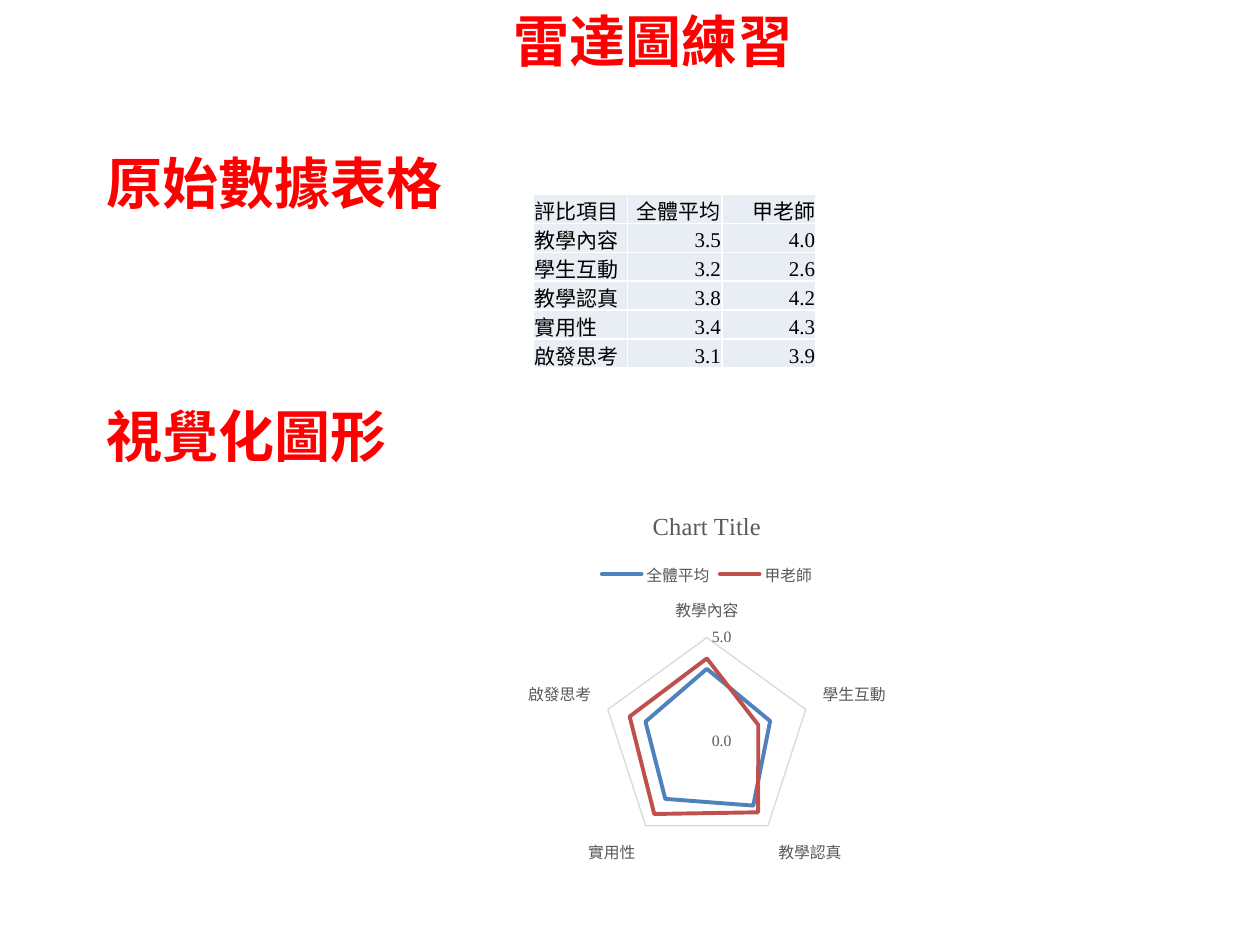
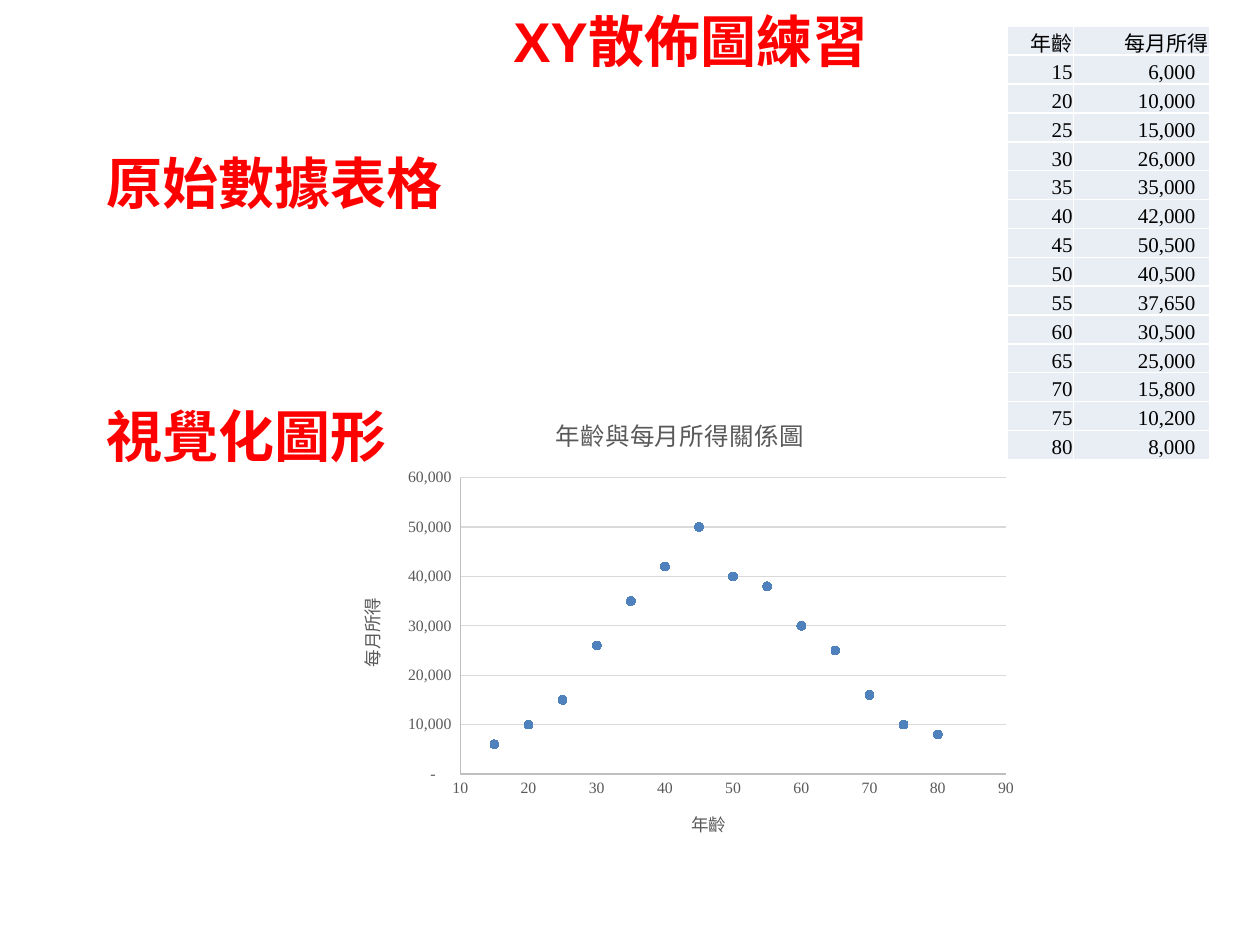
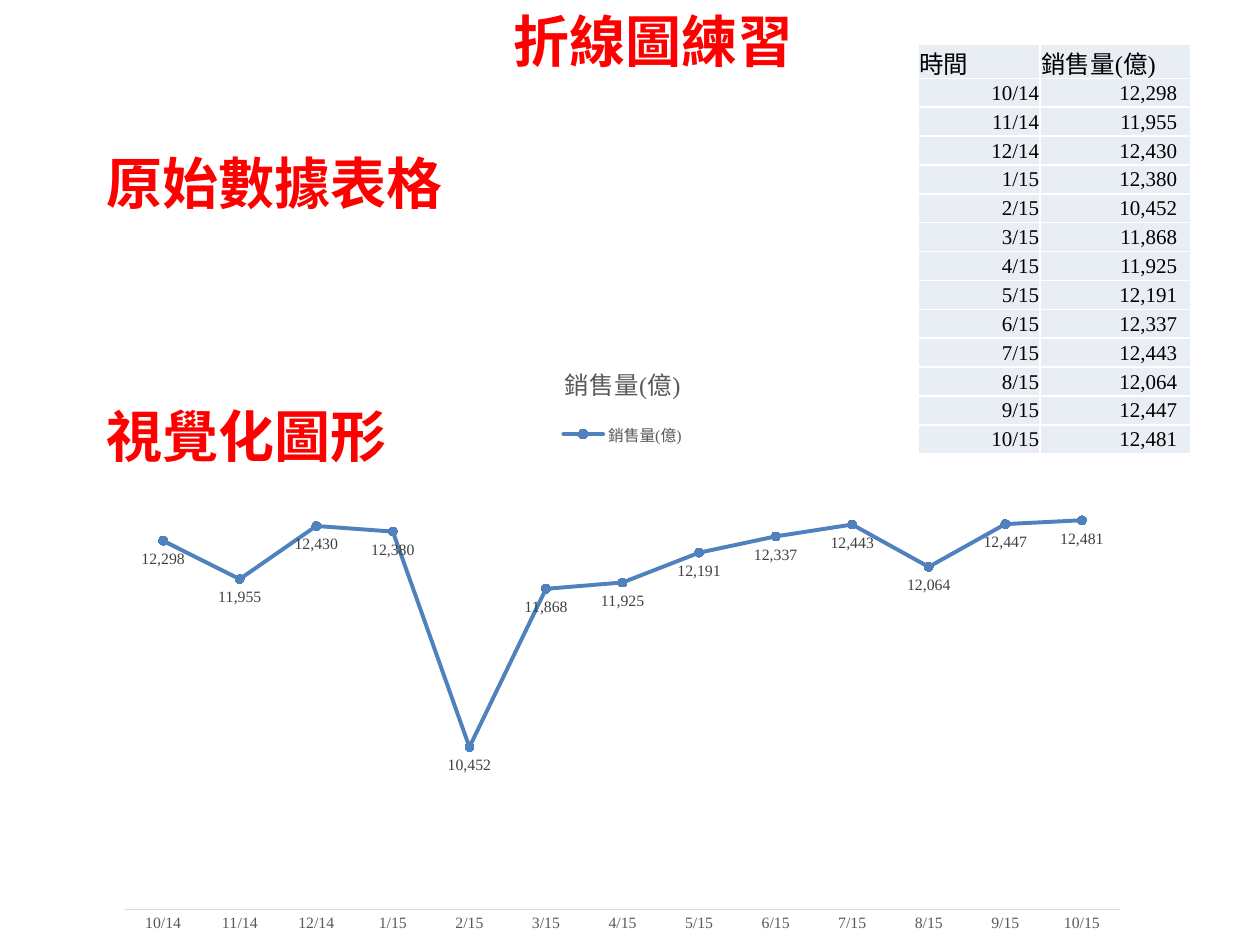
from dataclasses import dataclass

from lxml import etree
from pptx import Presentation
from pptx.chart.data import CategoryChartData, XyChartData
from pptx.dml.color import RGBColor
from pptx.enum.chart import (XL_CHART_TYPE, XL_LABEL_POSITION, XL_LEGEND_POSITION,
                             XL_MARKER_STYLE, XL_TICK_MARK)
from pptx.enum.text import MSO_ANCHOR, MSO_AUTO_SIZE, PP_ALIGN
from pptx.oxml.ns import qn
from pptx.util import Cm, Pt

LEFT, RIGHT = PP_ALIGN.LEFT, PP_ALIGN.RIGHT
BOTTOM, MIDDLE = MSO_ANCHOR.BOTTOM, MSO_ANCHOR.MIDDLE
GROW = MSO_AUTO_SIZE.SHAPE_TO_FIT_TEXT
RADAR, SCATTER, LINE = XL_CHART_TYPE.RADAR, XL_CHART_TYPE.XY_SCATTER, XL_CHART_TYPE.LINE_MARKERS
LEGEND_TOP = XL_LEGEND_POSITION.TOP
LABEL_BELOW = XL_LABEL_POSITION.BELOW
CIRCLE = XL_MARKER_STYLE.CIRCLE
NO_TICK = XL_TICK_MARK.NONE
THOUSANDS = '_-* #,##0_-;\\-* #,##0_-;_-* "-"??_-;_-@_'


@dataclass(frozen=True)
class Theme:
    heading_font: str = "Arial"
    body_font: str = "Times New Roman"
    heading: str = "FF0000"
    text: str = "000000"
    cell: str = "E9EDF4"
    border: str = "FFFFFF"
    muted: str = "595959"
    label: str = "404040"
    grid: str = "D9D9D9"
    axis: str = "BFBFBF"
    series: tuple = ("4F81BD", "C0504D")
    heading_size: int = 32
    title_size: int = 14
    cell_size: int = 12
    axis_title_size: int = 10
    chart_size: int = 9


class Deck:
    def __init__(self, theme):
        self.theme = theme
        self.presentation = Presentation()
        self.presentation.slide_width = Cm(25.4)
        self.presentation.slide_height = Cm(19.05)
        self.slide = None

    def style(self, font, size, color, name=None, bold=False):
        font.name = name or self.theme.body_font
        font.size = Pt(size)
        font.bold = bold
        font.color.rgb = RGBColor.from_string(color)

    def stroke(self, line, color, width=0.75):
        line.color.rgb = RGBColor.from_string(color)
        line.width = Pt(width)

    def add_slide(self, title):
        self.slide = self.presentation.slides.add_slide(self.presentation.slide_layouts[6])
        self.add_heading(title, 10.1, 0, 12.6)
        self.add_heading("原始數據表格", 1.9, 2.87, 7.6)
        self.add_heading("視覺化圖形", 1.9, 7.96, 7.6)

    def add_heading(self, text, left, top, width):
        shape = self.slide.shapes.add_textbox(Cm(left), Cm(top), Cm(width), Cm(1.62))
        frame = shape.text_frame
        frame.word_wrap = True
        frame.auto_size = GROW
        frame.text = text
        theme = self.theme
        self.style(frame.paragraphs[0].runs[0].font, theme.heading_size, theme.heading,
                   theme.heading_font, True)

    def add_table(self, rows, left, top, widths, height, aligns, header_aligns, anchor=BOTTOM,
                  header_size=None, header_height=None, number_inset=0.02):
        header_height = header_height or height / len(rows)
        row_height = (height - header_height) / (len(rows) - 1)
        table = self.slide.shapes.add_table(
            len(rows), len(widths), Cm(left), Cm(top), Cm(sum(widths)), Cm(height)).table
        table.first_row = table.horz_banding = False
        for column, width in zip(table.columns, widths):
            column.width = Cm(width)
        for index, values in enumerate(rows):
            header = index == 0
            table.rows[index].height = Cm(header_height if header else row_height)
            size = header_size if header and header_size else self.theme.cell_size
            for position, value in enumerate(values):
                last = position == len(values) - 1
                inset = number_inset if last and not header else 0.02
                align = (header_aligns if header else aligns)[position]
                self.fill_cell(table.cell(index, position), value, align, anchor, size, inset)

    def fill_cell(self, cell, text, align, anchor, size, right_inset):
        cell.margin_left = cell.margin_top = Cm(0.02)
        cell.margin_right, cell.margin_bottom = Cm(right_inset), 0
        cell.vertical_anchor = anchor
        cell.text_frame.text = text
        paragraph = cell.text_frame.paragraphs[0]
        paragraph.alignment = align
        self.style(paragraph.runs[0].font, size, self.theme.text)
        properties = cell._tc.get_or_add_tcPr()
        for side in ("a:lnL", "a:lnR", "a:lnT", "a:lnB"):
            line = etree.SubElement(properties, qn(side), w=str(Pt(1)))
            fill = etree.SubElement(line, qn("a:solidFill"))
            etree.SubElement(fill, qn("a:srgbClr"), val=self.theme.border)
        cell.fill.solid()
        cell.fill.fore_color.rgb = RGBColor.from_string(self.theme.cell)

    def add_chart(self, kind, data, left, top, width, height, title, legend=True):
        theme = self.theme
        chart = self.slide.shapes.add_chart(
            kind, Cm(left), Cm(top), Cm(width), Cm(height), data).chart
        self.style(chart.font, theme.axis_title_size, theme.text)
        self.set_title(chart, title, theme.title_size)
        chart.has_legend = legend
        if legend:
            chart.legend.position = LEGEND_TOP
            chart.legend.include_in_layout = False
            self.style(chart.legend.font, theme.chart_size, theme.muted)
        plot = chart.plots[0]
        plot.vary_by_categories = False
        for series, color in zip(plot.series, theme.series):
            if kind == SCATTER:
                series.format.line.fill.background()
            else:
                self.stroke(series.format.line, color, 2.25)
                series.format.line._get_or_add_ln().set("cap", "rnd")
            if kind != RADAR:
                self.add_marker(series, color)
            if kind == LINE:
                series.smooth = False
        return chart

    def set_title(self, owner, text, size):
        owner.has_title = True
        title = owner.chart_title if hasattr(owner, "chart_title") else owner.axis_title
        title.text_frame.text = text
        self.style(title.text_frame.paragraphs[0].runs[0].font, size, self.theme.muted)

    def add_marker(self, series, color):
        marker = series.marker
        marker.style, marker.size = CIRCLE, 5
        marker.format.fill.solid()
        marker.format.fill.fore_color.rgb = RGBColor.from_string(color)
        self.stroke(marker.format.line, color)

    def format_axis(self, axis, line=None, grid=False, scale=None, number_format=None,
                    title=None):
        axis.major_tick_mark = axis.minor_tick_mark = NO_TICK
        self.style(axis.tick_labels.font, self.theme.chart_size, self.theme.muted)
        if line:
            self.stroke(axis.format.line, line)
        else:
            axis.format.line.fill.background()
        axis.has_major_gridlines = grid
        if grid:
            self.stroke(axis.major_gridlines.format.line, self.theme.grid)
        if scale:
            axis.minimum_scale, axis.maximum_scale, axis.major_unit = scale
        if number_format:
            axis.tick_labels.number_format = number_format
            axis.tick_labels.number_format_is_linked = False
        if title:
            self.set_title(axis, title, self.theme.axis_title_size)

    def add_labels(self, series):
        labels = series.data_labels
        labels.show_value = True
        labels.position = LABEL_BELOW
        labels.number_format = "#,##0"
        labels.number_format_is_linked = False
        self.style(labels.font, self.theme.chart_size, self.theme.label)


def category_data(categories, columns, number_format):
    data = CategoryChartData(number_format=number_format)
    data.categories = categories
    for name, values in columns:
        data.add_series(name, values)
    return data


def build_radar_slide(deck):
    names = ("全體平均", "甲老師")
    ratings = [("教學內容", 3.5, 4.0), ("學生互動", 3.2, 2.6), ("教學認真", 3.8, 4.2),
               ("實用性", 3.4, 4.3), ("啟發思考", 3.1, 3.9)]
    items, average, teacher = zip(*ratings)
    rows = [("評比項目", *names)]
    rows += [(item, f"{mean:.1f}", f"{score:.1f}") for item, mean, score in ratings]
    aligns = (LEFT, RIGHT, RIGHT)
    deck.add_slide("雷達圖練習")
    deck.add_table(rows, 10.75, 3.92, [1.9] * 3, 3.5, aligns, aligns)
    data = category_data(items, zip(names, (average, teacher)), "0.0")
    chart = deck.add_chart(RADAR, data, 7.9, 9.92, 12.7, 7.62, "Chart Title")
    deck.format_axis(chart.category_axis, deck.theme.grid)
    deck.format_axis(chart.value_axis, grid=True, scale=(0, 5, 5), number_format="0.0")


def build_scatter_slide(deck):
    ages = range(15, 85, 5)
    incomes = (6000, 10000, 15000, 26000, 35000, 42000, 50500, 40500, 37650, 30500,
               25000, 15800, 10200, 8000)
    names = ("年齡", "每月所得")
    rows = [names] + [(str(age), f"{income:,}") for age, income in zip(ages, incomes)]
    aligns = (RIGHT, RIGHT)
    deck.add_slide("XY散佈圖練習")
    deck.add_table(rows, 20.3, 0.53, (1.34, 2.75), 8.74, aligns, aligns, number_inset=0.29)
    data = XyChartData(number_format="#,##0")
    series = data.add_series(names[1])
    for age, income in zip(ages, incomes):
        series.add_data_point(age, round(income, -3))
    chart = deck.add_chart(SCATTER, data, 6.7, 7.92, 14.02, 9.48,
                           "年齡與每月所得關係圖", legend=False)
    axis_color = deck.theme.axis
    deck.format_axis(chart.category_axis, axis_color, scale=(10, 90, 10),
                     number_format="0", title=names[0])
    deck.format_axis(chart.value_axis, axis_color, True, (0, 60000, 10000), THOUSANDS, names[1])


def build_line_slide(deck):
    dates = [f"{month}/14" for month in (10, 11, 12)] + [f"{month}/15" for month in range(1, 11)]
    sales = (12298, 11955, 12430, 12380, 10452, 11868, 11925, 12191, 12337, 12443,
             12064, 12447, 12481)
    name = "銷售量(億)"
    rows = [("時間", name)] + [(date, f"{amount:,}") for date, amount in zip(dates, sales)]
    deck.add_slide("折線圖練習")
    deck.add_table(rows, 18.51, 0.89, (2.46, 3.04), 8.26, (RIGHT, RIGHT), (LEFT, LEFT), MIDDLE,
                   deck.theme.title_size, 0.69, 0.28)
    data = category_data(dates, [(name, sales)], "#,##0")
    chart = deck.add_chart(LINE, data, 2.1, 6.85, 20.9, 12.2, name)
    deck.format_axis(chart.category_axis, deck.theme.grid)
    deck.format_axis(chart.value_axis, scale=(9000, 13000, 500), number_format=THOUSANDS)
    chart.value_axis.visible = False
    deck.add_labels(chart.plots[0].series[0])


deck = Deck(Theme())
build_radar_slide(deck)
build_scatter_slide(deck)
build_line_slide(deck)
deck.presentation.save("out.pptx")
